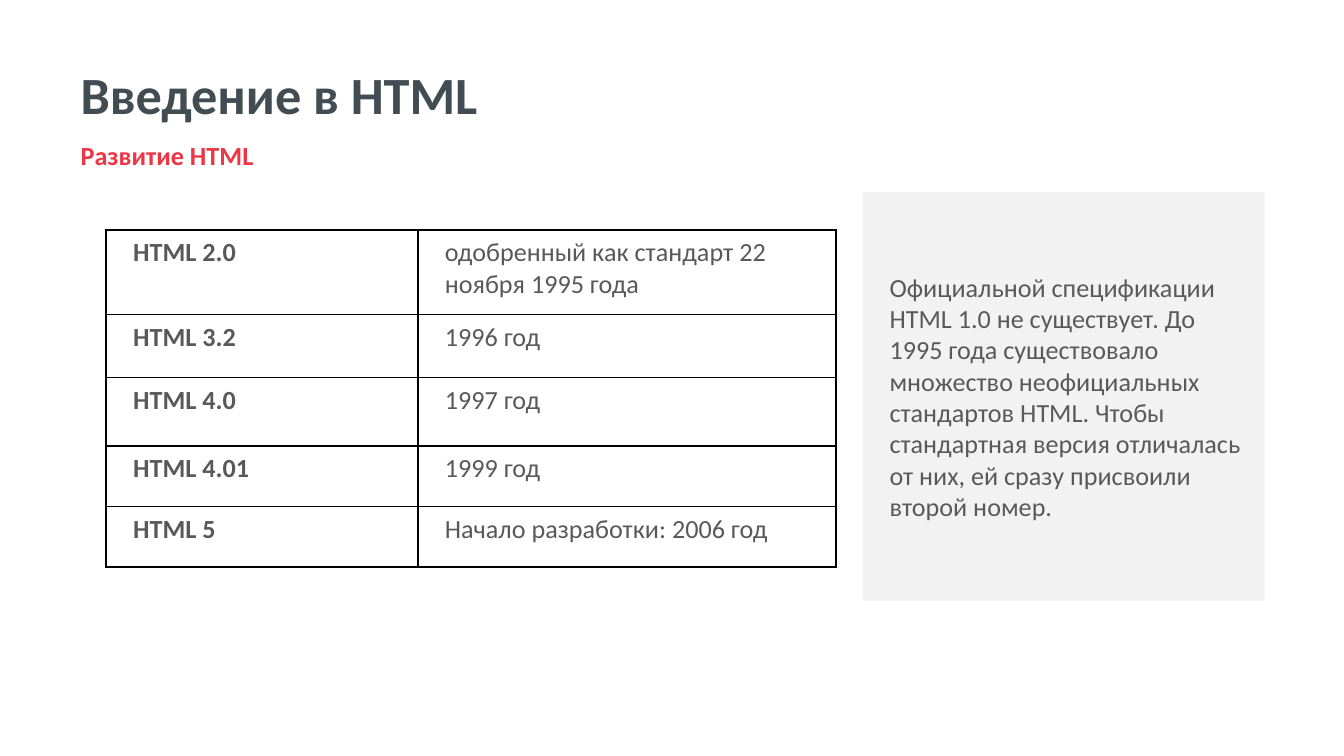
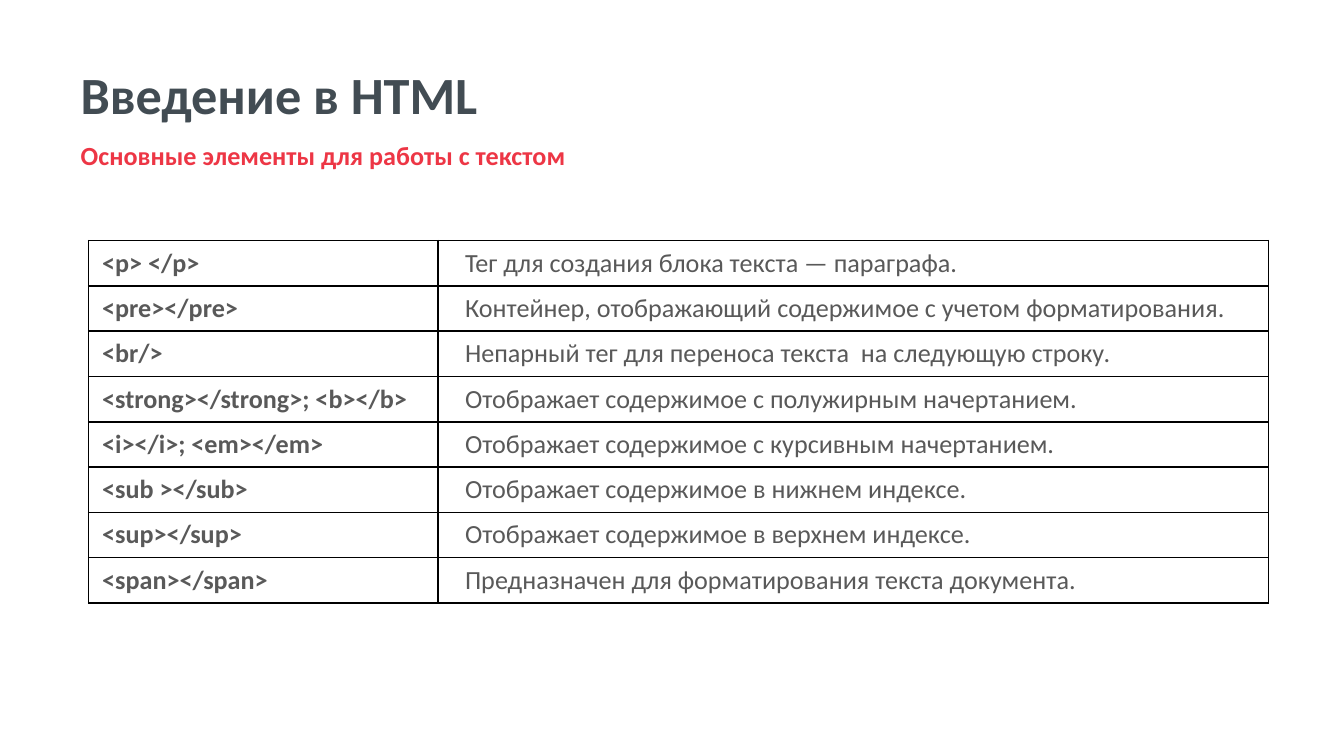
from lxml import etree
from pptx import Presentation
from pptx import util as u
from pptx.dml.color import RGBColor
from pptx.enum import shapes, text
from pptx.oxml.ns import qn

COLORS = dict(title="424C53", accent="ED3645", body="595959", panel="F2F2F2", border="000000")
FONT = "Calibri"
SLIDE_WIDTH = 10
SLIDE_HEIGHT = SLIDE_WIDTH * 9 / 16
TITLE = "Введение в HTML"
TITLE_AREA = (0.5, 0.23, 9, 0.94)
SUBTITLE_AREA = (0.5, 0.99, 9.11, 0.4)
NOTE_AREA = (6.42, 1.43, 2.99, 3.04)
INDENT = 0.1

VERSIONS = [
    ("HTML 2.0", "одобренный как стандарт 22 ноября 1995 года"),
    ("HTML 3.2", "1996 год"),
    ("HTML 4.0", "1997 год"),
    ("HTML 4.01", "1999 год"),
    ("HTML 5", "Начало разработки: 2006 год"),
]
TEXT_TAGS = [
    ("<p> </p>", "Тег для создания блока текста — параграфа."),
    ("<pre></pre>", "Контейнер, отображающий содержимое с учетом форматирования."),
    ("<br/>", "Непарный тег для переноса текста  на следующую строку."),
    ("<strong></strong>; <b></b>", "Отображает содержимое с полужирным начертанием."),
    ("<i></i>; <em></em>", "Отображает содержимое с курсивным начертанием."),
    ("<sub ></sub>", "Отображает содержимое в нижнем индексе."),
    ("<sup></sup>", "Отображает содержимое в верхнем индексе."),
    ("<span></span>", "Предназначен для форматирования текста документа."),
]
SLIDES = [
    dict(
        subtitle="Развитие HTML",
        note="Официальной спецификации HTML 1.0 не существует. До 1995 года существовало "
             "множество неофициальных стандартов HTML. Чтобы стандартная версия отличалась "
             "от них, ей сразу присвоили второй номер.",
        table=dict(content=VERSIONS, origin=(0.79, 1.71), columns=(2.32, 3.11),
                   rows=(0.63, 0.47, 0.51, 0.45, 0.45), indents=(INDENT, INDENT)),
    ),
    dict(
        subtitle="Основные элементы для работы с текстом",
        table=dict(content=TEXT_TAGS, origin=(0.66, 1.79), columns=(2.6, 6.18),
                   rows=[2.67 / len(TEXT_TAGS)] * len(TEXT_TAGS), indents=(0, INDENT)),
    ),
]


def inches(lengths):
    return [u.Inches(length) for length in lengths]


def write(frame, words, color, size=14, bold=False, indent=0):
    """Fill a text frame with one left-aligned paragraph without a bullet."""
    frame.text = words
    paragraph = frame.paragraphs[0]
    properties = paragraph._p.get_or_add_pPr()
    properties.set("marL", str(u.Inches(indent)))
    properties.set("indent", "0")
    etree.SubElement(properties, qn("a:buNone"))
    paragraph.alignment = text.PP_ALIGN.LEFT
    paragraph.space_before = u.Pt(0)
    font = paragraph.runs[0].font
    for name, value in dict(name=FONT, size=u.Pt(size), bold=bold).items():
        setattr(font, name, value)
    font.color.rgb = RGBColor.from_string(COLORS[color])


def fill_heading(placeholder, area, anchor, words, **look):
    placeholder.left, placeholder.top, placeholder.width, placeholder.height = inches(area)
    frame = placeholder.text_frame
    frame.word_wrap = True
    frame.auto_size = text.MSO_AUTO_SIZE.NONE
    frame.vertical_anchor = anchor
    write(frame, words, bold=True, **look)


def add_note(slide, words):
    panel = slide.shapes.add_shape(shapes.MSO_SHAPE.RECTANGLE, *inches(NOTE_AREA))
    panel.shadow.inherit = False
    panel.fill.solid()
    panel.fill.fore_color.rgb = RGBColor.from_string(COLORS["panel"])
    panel.line.fill.background()
    panel.text_frame.word_wrap = True
    panel.text_frame.vertical_anchor = text.MSO_ANCHOR.MIDDLE
    write(panel.text_frame, words, "body", indent=INDENT)


def outline(cell):
    properties = cell._tc.get_or_add_tcPr()
    for side in ("lnL", "lnR", "lnT", "lnB"):
        line = etree.SubElement(properties, qn(f"a:{side}"), w=str(u.Pt(1)))
        fill = etree.SubElement(line, qn("a:solidFill"))
        etree.SubElement(fill, qn("a:srgbClr"), val=COLORS["border"])


def add_grid(slide, content, origin, columns, rows, indents):
    size = (sum(columns), sum(rows))
    grid = slide.shapes.add_table(len(rows), len(columns), *inches(origin + size)).table
    grid.first_row = grid.horz_banding = False
    for column, width in zip(grid.columns, columns):
        column.width = u.Inches(width)
    for row, height, entry in zip(grid.rows, rows, content):
        row.height = u.Inches(height)
        for i, (cell, words) in enumerate(zip(row.cells, entry)):
            outline(cell)
            cell.fill.background()
            write(cell.text_frame, words, "body", bold=i == 0, indent=indents[i])


def main():
    deck = Presentation()
    deck.slide_width, deck.slide_height = inches((SLIDE_WIDTH, SLIDE_HEIGHT))
    for content in SLIDES:
        slide = deck.slides.add_slide(deck.slide_layouts[1])
        title, subtitle = slide.placeholders
        fill_heading(title, TITLE_AREA, text.MSO_ANCHOR.MIDDLE, TITLE, color="title", size=28)
        fill_heading(subtitle, SUBTITLE_AREA, text.MSO_ANCHOR.TOP, content["subtitle"],
                     color="accent")
        if "note" in content:
            add_note(slide, content["note"])
        add_grid(slide, **content["table"])
    deck.save("out.pptx")


if __name__ == "__main__":
    main()
